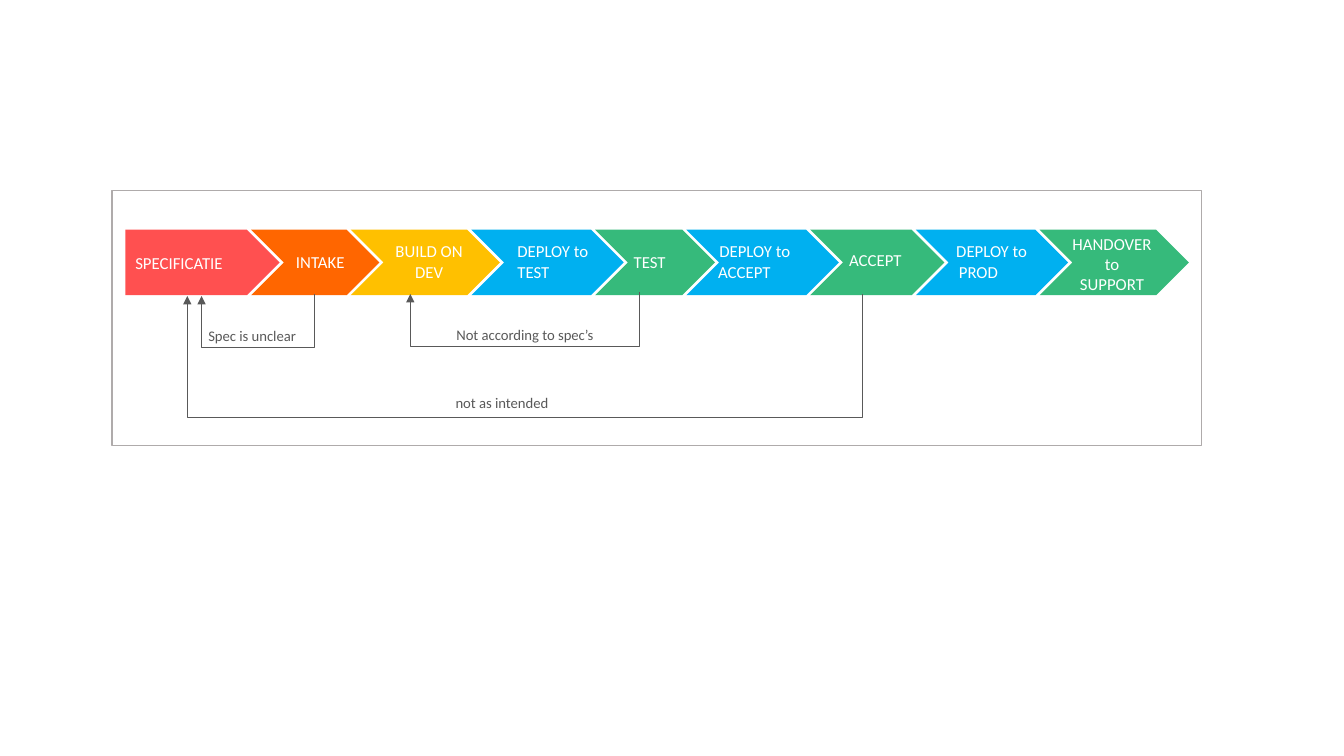
from lxml.etree import SubElement
from pptx import Presentation
from pptx.dml.color import RGBColor
from pptx.enum.shapes import MSO_CONNECTOR, MSO_SHAPE
from pptx.enum.text import MSO_ANCHOR, PP_ALIGN
from pptx.oxml.ns import qn
from pptx.util import Cm, Pt

RED, ORANGE, YELLOW = "FF5050", "FF6600", "FFC000"
BLUE, GREEN, WHITE = "00B0F0", "36BA7B", "FFFFFF"
GREY, FRAME_GREY = "595959", "AFABAB"
LEFT, CENTER = PP_ALIGN.LEFT, PP_ALIGN.CENTER

STEP_HEIGHT = 1.65
STEP_OVERLAP = 0.72

# Step width and colour, then the label: lines with alignment,
# and its box (left, top, width, height) relative to the step
STEPS = [
    (3.89, RED, [("SPECIFICATIE", LEFT)], None),
    (3.23, ORANGE, [("INTAKE", LEFT)], (0.88, 0.43, 2.31, 0.76)),
    (3.76, YELLOW, [("BUILD ON DEV", CENTER)], (0.78, 0.2, 2.39, 1.19)),
    (3.84, BLUE, [("DEPLOY to TEST", LEFT)], (0.91, 0.2, 2.44, 1.19)),
    (3.02, GREEN, [("TEST", LEFT)], (0.72, 0.28, 1.88, 1.07)),
    (3.84, BLUE, [("DEPLOY to ", CENTER), ("ACCEPT", LEFT)], (0.55, 0.2, 2.44, 1.19)),
    (3.38, GREEN, [("ACCEPT", LEFT)], (0.73, 0.3, 2.29, 0.91)),
    (3.84, BLUE, [("DEPLOY to ", CENTER), (" PROD", LEFT)], (0.74, 0.2, 2.44, 1.19)),
    (3.76, GREEN, [("HANDOVER", CENTER), ("to", CENTER), ("SUPPORT", CENTER)],
     (0.3, -0.03, 3.05, 1.27)),
]

# Feedback notes: text, alignment, box relative to the frame
NOTES = [
    ("Not according to spec’s", CENTER, (7.92, 3.38, 4.98, 0.53)),
    ("Spec is unclear", LEFT, (2.18, 3.25, 3.05, 0.84)),
    ("not as intended", CENTER, (7.34, 5.08, 4.98, 0.53)),
]

# Feedback loops relative to the frame: start x, end x, start y, lowest y
LOOPS = [
    (13.28, 7.52, 2.57, 3.94),
    (18.9, 1.9, 2.62, 5.72),
    (5.1, 2.26, 2.62, 3.96),
]


def color(hex_string):
    return RGBColor.from_string(hex_string)


def write_text(shape, lines, size=12, font_color=WHITE, anchor=MSO_ANCHOR.MIDDLE):
    frame = shape.text_frame
    frame.word_wrap = True
    frame.vertical_anchor = anchor
    for index, (text, alignment) in enumerate(lines):
        paragraph = frame.add_paragraph() if index else frame.paragraphs[0]
        paragraph.alignment = alignment
        run = paragraph.add_run()
        run.text = text
        run.font.name = "Calibri"
        run.font.size = Pt(size)
        run.font.color.rgb = color(font_color)


def add_block(slide, kind, box, fill=None, line=None):
    shape = slide.shapes.add_shape(kind, *map(Cm, box))
    shape.shadow.inherit = False
    if fill:
        shape.fill.solid()
        shape.fill.fore_color.rgb = color(fill)
    else:
        shape.fill.background()
    if line:
        shape.line.color.rgb = color(line)
        shape.line.width = Pt(1)
    else:
        shape.line.fill.background()
    return shape


def add_loop(slide, start_x, end_x, start_y, lowest_y):
    """Elbow arrow turned by 90 degrees: down, left and back up."""
    rise, span = 0.04, start_x - end_x
    left = (start_x + end_x - rise) / 2
    top = start_y + (rise - span) / 2
    loop = slide.shapes.add_connector(
        MSO_CONNECTOR.ELBOW, Cm(left), Cm(top), Cm(left + rise), Cm(top + span))
    loop.line.color.rgb = color(GREY)
    loop.line.width = Pt(0.5)
    properties = loop._element.spPr
    properties.find(qn("a:xfrm")).set("rot", "5400000")
    geometry = properties.find(qn("a:prstGeom"))
    adjustments = geometry.find(qn("a:avLst"))
    if adjustments is None:
        adjustments = SubElement(geometry, qn("a:avLst"))
    depth = round((lowest_y - start_y) / rise * 100000)
    SubElement(adjustments, qn("a:gd"), name="adj1", fmla=f"val {depth}")
    SubElement(properties.find(qn("a:ln")), qn("a:tailEnd"), type="triangle")
    SubElement(properties, qn("a:effectLst"))


def add_process(slide, left, top):
    for index, (width, fill, lines, label_box) in enumerate(STEPS):
        kind = MSO_SHAPE.CHEVRON if index else MSO_SHAPE.PENTAGON
        label = add_block(slide, kind, (left, top, width, STEP_HEIGHT), fill)
        if label_box:
            dx, dy, label_width, label_height = label_box
            label = slide.shapes.add_textbox(
                Cm(left + dx), Cm(top + dy), Cm(label_width), Cm(label_height))
        anchor = MSO_ANCHOR.TOP if len(lines) > 2 else MSO_ANCHOR.MIDDLE
        write_text(label, lines, anchor=anchor)
        left += width - STEP_OVERLAP


def add_feedback(slide, left, top):
    for text, alignment, (dx, dy, width, height) in NOTES:
        note = add_block(slide, MSO_SHAPE.RECTANGLE,
                         (left + dx, top + dy, width, height), WHITE)
        write_text(note, [(text, alignment)], size=10.5, font_color=GREY)
    for start_x, end_x, start_y, lowest_y in LOOPS:
        add_loop(slide, left + start_x, left + end_x, top + start_y, top + lowest_y)


def add_workflow(slide, left, top, width, height):
    # Row of steps, loops below it, frame around both
    add_process(slide, left + 0.34, top + 0.99)
    add_feedback(slide, left, top)
    add_block(slide, MSO_SHAPE.RECTANGLE, (left, top, width, height), line=FRAME_GREY)


def main():
    presentation = Presentation()
    presentation.slide_width, presentation.slide_height = Cm(33.87), Cm(19.05)
    slide = presentation.slides.add_slide(presentation.slide_layouts[6])
    add_workflow(slide, 2.82, 4.8, 27.46, 6.43)
    presentation.save("out.pptx")


if __name__ == "__main__":
    main()
